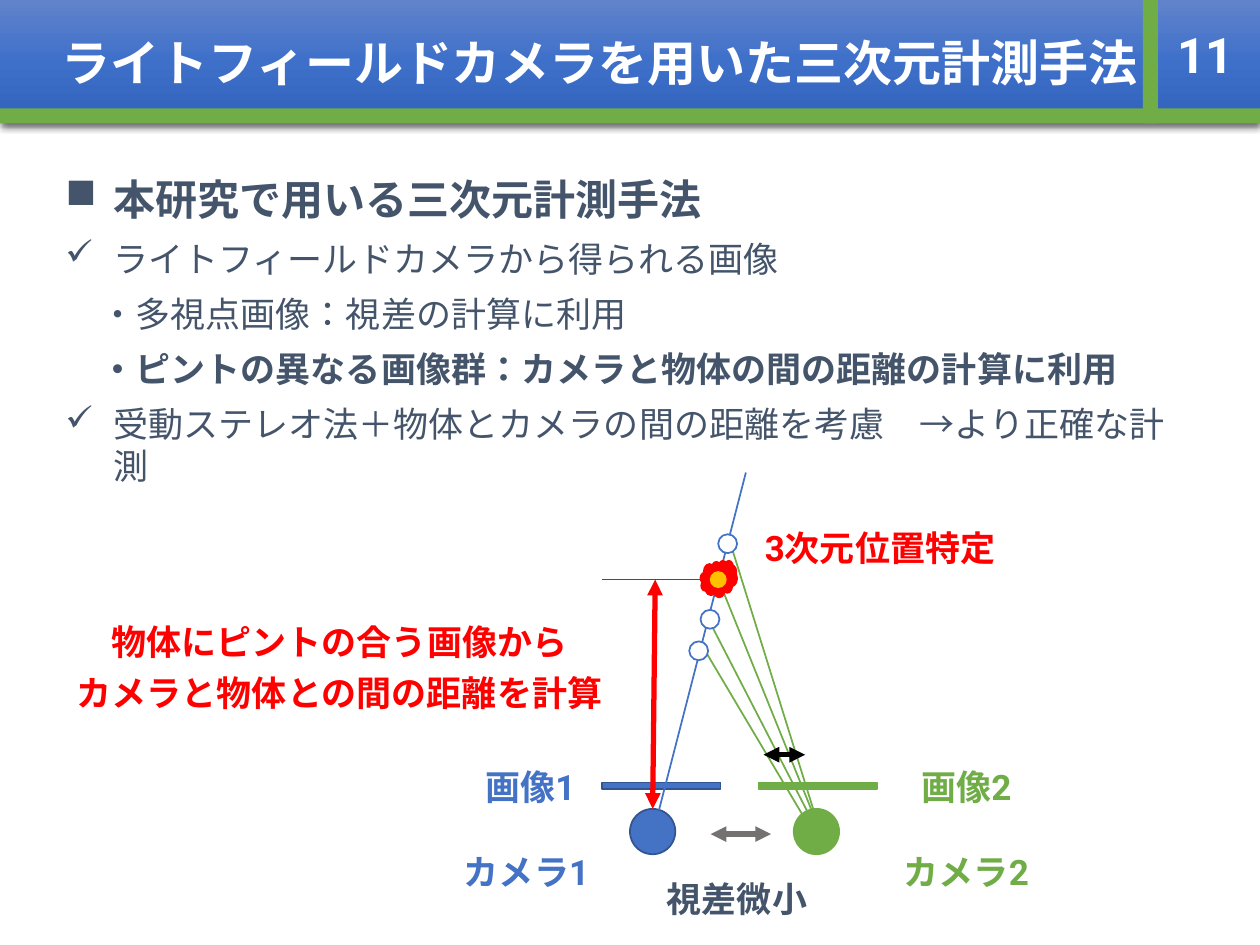
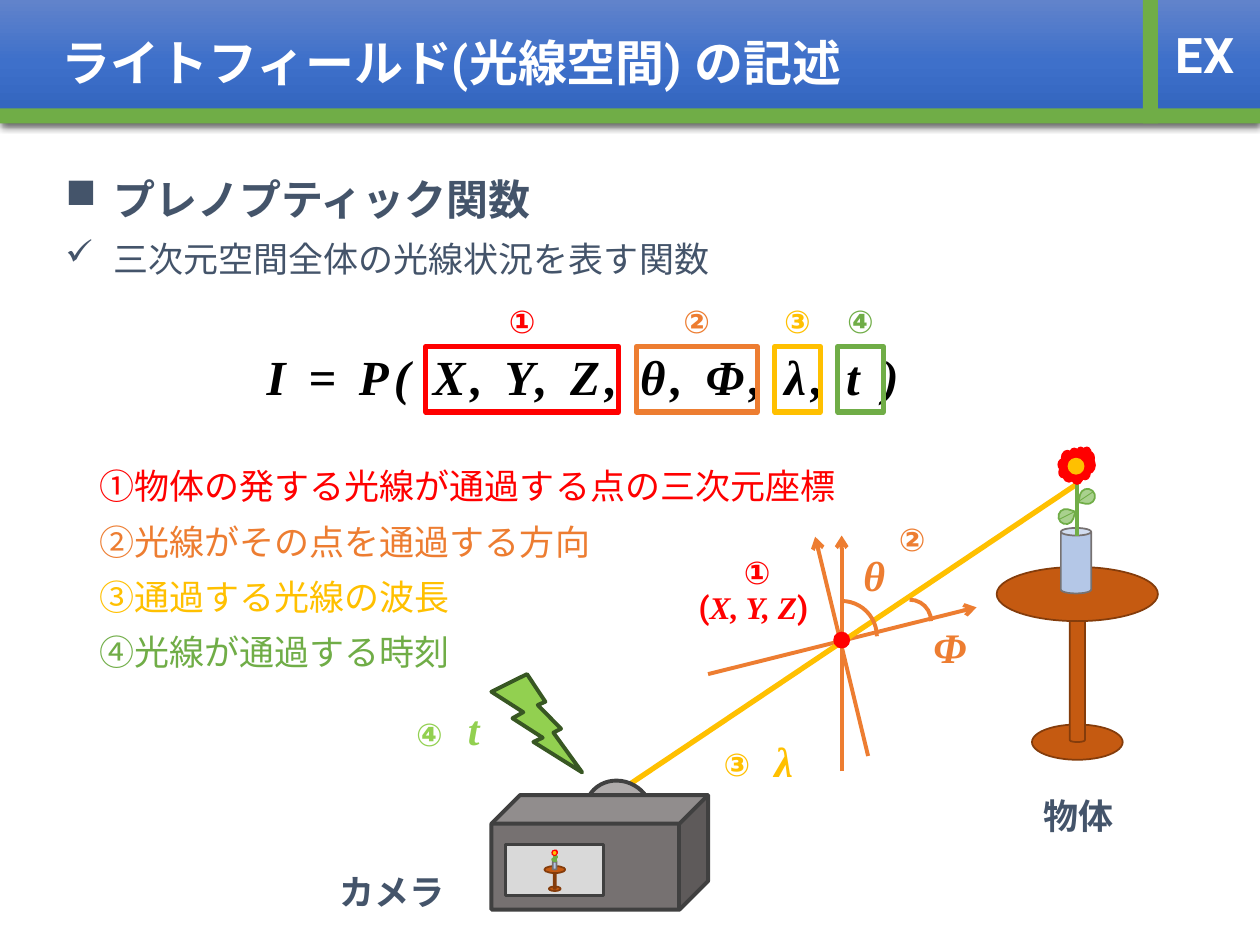
from lxml import etree
from pptx import Presentation
from pptx.dml.color import RGBColor
from pptx.enum import shapes, text
from pptx.oxml import parse_xml
from pptx.oxml.ns import nsdecls, qn
from pptx.util import Inches, Pt

SHAPE = shapes.MSO_SHAPE


class Theme:
    font, math_font = "Roboto", "Times New Roman"
    title, heading, body, mark, symbol = 28, 24, 20, 18, 24
    white, black, ink = "FFFFFF", "000000", "44546A"
    blue, blue_edge, green = "4472C4", "325491", "70AD47"
    red, orange, gold = "FF0000", "ED7D31", "FFC000"
    gray, dark, lens, screen = "767171", "404040", "AFABAB", "D9D9D9"
    wood, wood_edge, vase, leaf = "C55A11", "843C0B", "B4C7E7", "A9D18E"
    flash, flash_edge = "92D050", "385723"
    band = ((0, "6183CB"), (50, "3E70CA"), (100, "3062BB"))


# Paragraph formats
HEADING = dict(size=Theme.heading, bold=True, bullet="■", left=0.38, hang=0.38)
CHECK = dict(spacing=1.0, bullet="✓", left=0.38, hang=0.38)
SUB = dict(spacing=1.0, left=0.28)
SYMBOL = dict(font=Theme.math_font, size=Theme.symbol, italic=True)
MARK = dict(size=Theme.mark)

# Slide 1 content
METHOD_TITLE = "ライトフィールドカメラを用いた三次元計測手法"
METHOD = [
    ("本研究で用いる三次元計測手法", HEADING),
    ("ライトフィールドカメラから得られる画像", CHECK),
    ("・多視点画像：視差の計算に利用", SUB),
    ("・ピントの異なる画像群：カメラと物体の間の距離の計算に利用", dict(SUB, bold=True)),
    ("受動ステレオ法＋物体とカメラの間の距離を考慮　→より正確な計測", CHECK),
]
# text, centre x, top, colour, width
METHOD_LABELS = [
    ("視差微小", 5.85, 6.95, Theme.ink, 2.06),
    ("カメラ1", 4.18, 6.74, Theme.blue, 2.06),
    ("カメラ2", 7.67, 6.74, Theme.green, 2.06),
    ("画像2", 7.67, 6.06, Theme.green, 2.06),
    ("画像1", 4.21, 6.06, Theme.blue, 2.06),
    ("3次元位置特定", 6.985, 4.17, Theme.red, 2.53),
    (("物体にピントの合う画像から", "カメラと物体との間の距離を計算"),
     2.695, 4.91, Theme.red, 4.73),
]
# left of image plane, left of camera, fill, edge
CAMERAS = [(4.78, 5.0, Theme.blue, Theme.blue_edge),
           (6.02, 6.3, Theme.green, Theme.green)]
SIGHT_LINES = [((5.57, 5.12), (6.46, 6.62)), ((5.63, 4.93), (6.49, 6.6)),
               ((5.71, 4.62), (6.51, 6.6)), ((5.79, 4.29), (6.51, 6.6))]
CANDIDATES = [(5.47, 5.09), (5.56, 4.84), (5.7, 4.24)]

# Slide 2 content
FIELD_TITLE = "ライトフィールド(光線空間) の記述"
FIELD = [("プレノプティック関数", HEADING),
         ("三次元空間全体の光線状況を表す関数", CHECK)]
EQUATION = "I = P( X, Y, Z, θ, Φ, λ, t )"
# mark, meaning, colour, left and width of its frame in the equation
TERMS = [
    ("①", "物体の発する光線が通過する点の三次元座標", Theme.red, 3.38, 1.53),
    ("②", "光線がその点を通過する方向", Theme.orange, 5.05, 0.96),
    ("③", "通過する光線の波長", Theme.gold, 6.15, 0.36),
    ("④", "光線が通過する時刻", Theme.green, 6.65, 0.36),
]
POINT = [("(", {}), ("X, Y, Z", dict(font=Theme.math_font, italic=True)), (")", {})]
# text, centre x, top, colour, format
FIELD_LABELS = [
    ([(POINT, {})], 5.98, 4.65, Theme.red, MARK),
    ("θ", 6.94, 4.36, Theme.orange, SYMBOL),
    ("Φ", 7.54, 4.93, Theme.orange, SYMBOL),
    ("カメラ", 3.11, 6.9, Theme.ink, {}),
    ("物体", 8.56, 6.29, Theme.ink, {}),
    ("①", 6.01, 4.37, Theme.red, MARK),
    ("②", 7.24, 4.11, Theme.orange, MARK),
    ("③", 5.85, 5.9, Theme.gold, MARK),
    ("④", 3.41, 5.66, Theme.flash, MARK),
    ("λ", 6.22, 5.83, Theme.gold, SYMBOL),
    ("t", 3.76, 5.58, Theme.flash, SYMBOL),
]
AXES = [((6.68, 6.12), (6.68, 4.25)), ((5.62, 5.35), (7.75, 4.82)),
        ((6.89, 6.0), (6.47, 4.26))]


def rgb(colour):
    return RGBColor.from_string(colour)


def add_run(paragraph, words, font=Theme.font, size=Theme.body, colour=Theme.ink,
            bold=False, italic=False, tracking=0):
    run = paragraph.add_run()
    run.text = words
    style = run.font
    style.name, style.size, style.bold, style.italic = font, Pt(size), bold, italic
    style.color.rgb = rgb(colour)
    props = run._r.get_or_add_rPr()
    props.set("lang", "ja-JP")
    if tracking:
        props.set("spc", str(tracking * 100))
    etree.SubElement(props, qn("a:ea")).set("typeface", font)


def format_paragraph(paragraph, align=None, spacing=0.9, before=7.5,
                     left=0, hang=0, bullet=None):
    paragraph.alignment = align
    paragraph.line_spacing, paragraph.space_before = spacing, Pt(before)
    props = paragraph._p.get_or_add_pPr()
    props.set("marL", str(Inches(left)))
    props.set("indent", str(-Inches(hang)))
    if bullet:
        etree.SubElement(props, qn("a:buChar")).set("char", bullet)


PARAGRAPH_KEYS = ("align", "spacing", "before", "left", "hang", "bullet")


def add_text(slide, box, content, middle=False, **common):
    """Content is a string or a list of (string or runs, format) paragraphs."""
    frame = slide.shapes.add_textbox(*map(Inches, box)).text_frame
    frame.word_wrap = True
    if middle:
        frame.vertical_anchor = text.MSO_ANCHOR.MIDDLE
    lines = [(content, {})] if isinstance(content, str) else content
    for i, (runs, own) in enumerate(lines):
        paragraph = frame.add_paragraph() if i else frame.paragraphs[0]
        style = {**common, **own}
        format_paragraph(paragraph, **{k: style.pop(k) for k in PARAGRAPH_KEYS if k in style})
        for words, run_style in [(runs, {})] if isinstance(runs, str) else runs:
            add_run(paragraph, words, **{**style, **run_style})


def add_label(slide, content, centre, top, colour, width=2.06, **style):
    if isinstance(content, tuple):
        content = [(line, {}) for line in content]
    add_text(slide, (centre - width / 2, top, width, 0.55), content, colour=colour,
             align=text.PP_ALIGN.CENTER, **{"bold": True, **style})


def add_shape(slide, kind, box, fill=None, edge=None, weight=1, turn=0):
    part = slide.shapes.add_shape(kind, *map(Inches, box))
    part.shadow.inherit = False
    part.rotation = turn
    if fill:
        part.fill.solid()
        part.fill.fore_color.rgb = rgb(fill)
    else:
        part.fill.background()
    if edge:
        part.line.color.rgb, part.line.width = rgb(edge), Pt(weight)
    else:
        part.line.fill.background()
    return part


def add_line(slide, start, end, colour, weight=1, head=None, tail=None):
    line = slide.shapes.add_connector(shapes.MSO_CONNECTOR.STRAIGHT,
                                      *map(Inches, (*start, *end)))
    line.line.color.rgb, line.line.width = rgb(colour), Pt(weight)
    for tag, tip in (("a:headEnd", head), ("a:tailEnd", tail)):
        if tip:
            etree.SubElement(line.line._get_or_add_ln(), qn(tag)).set("type", tip)
    etree.SubElement(line._element.spPr, qn("a:effectLst"))
    return line


def add_double_arrow(slide, start, end, colour):
    return add_line(slide, start, end, colour, 3, "triangle", "triangle")


def add_header(slide, title, number):
    # Gradient band with a soft shadow below it
    band = add_shape(slide, SHAPE.RECTANGLE, (0, 0, 10, 0.98), Theme.blue)
    props = band._element.spPr
    stops = "".join(f'<a:gs pos="{pos * 1000}"><a:srgbClr val="{colour}"/></a:gs>'
                    for pos, colour in Theme.band)
    props.replace(props.find(qn("a:solidFill")), parse_xml(
        f'<a:gradFill {nsdecls("a")} rotWithShape="1"><a:gsLst>{stops}</a:gsLst>'
        '<a:lin ang="5400000" scaled="0"/></a:gradFill>'))
    props.find(qn("a:effectLst")).append(parse_xml(
        f'<a:outerShdw {nsdecls("a")} blurRad="57150" dist="19050" dir="5400000" '
        'algn="ctr" rotWithShape="0"><a:srgbClr val="000000">'
        '<a:alpha val="63000"/></a:srgbClr></a:outerShdw>'))
    # Green rules, title and number
    for box in ((0, 0.86, 10, 0.12), (9.07, 0, 0.12, 0.98)):
        add_shape(slide, SHAPE.RECTANGLE, box, Theme.green)
    style = dict(middle=True, size=Theme.title, colour=Theme.white, bold=True,
                 spacing=1.0, before=0)
    add_text(slide, (0.39, 0, 9.61, 0.98), title, **style)
    add_text(slide, (9.13, 0, 0.87, 0.86), number, align=text.PP_ALIGN.CENTER, **style)


def add_flower(slide, x, y, scale=1):
    for kind, inset_x, inset_y, size, colour in (
            (SHAPE.CLOUD, 0, 0, 0.29, Theme.red),
            (SHAPE.OVAL, 0.08, 0.09, 0.12, Theme.gold)):
        add_shape(slide, kind, (x + inset_x * scale, y + inset_y * scale,
                                size * scale, size * scale), colour, colour)


def add_flower_table(slide, x, y, scale=1):
    def at(dx, dy):
        return x + dx * scale, y + dy * scale

    wood, vase = (Theme.wood, Theme.wood_edge), (Theme.vase, Theme.gray)
    # Foot, leg, table top, vase
    for kind, dx, dy, w, h, colours in (
            (SHAPE.OVAL, 0.28, 2.2, 0.72, 0.28, wood),
            (SHAPE.CAN, 0.58, 1.16, 0.12, 1.18, wood),
            (SHAPE.OVAL, 0, 0.95, 1.28, 0.43, wood),
            (SHAPE.CAN, 0.51, 0.64, 0.24, 0.52, vase)):
        add_shape(slide, kind, (*at(dx, dy), w * scale, h * scale), *colours)
    # Stem, leaves with veins, blossom
    add_line(slide, at(0.64, 0.17), at(0.64, 0.7), Theme.green, 2.25)
    for leaf, turn, vein_start, vein_end in (
            ((0.49, 0.49), 17.4, (0.62, 0.51), (0.5, 0.57)),
            ((0.66, 0.33), 192, (0.77, 0.35), (0.65, 0.43))):
        add_shape(slide, SHAPE.TEAR, (*at(*leaf), 0.12 * scale, 0.12 * scale),
                  Theme.leaf, Theme.green, turn=turn)
        add_line(slide, at(*vein_start), at(*vein_end), Theme.green, 0.5)
    add_flower(slide, *at(0.49, 0), scale)


def build_method(slide):
    add_header(slide, METHOD_TITLE, "11")
    add_text(slide, (0.42, 1.37, 9.15, 2.54), METHOD)
    # Image planes and cameras
    cameras = []
    for plane_left, camera_left, fill, edge in CAMERAS:
        add_shape(slide, SHAPE.RECTANGLE, (plane_left, 6.21, 0.94, 0.05), fill, edge)
        cameras.append(add_shape(slide, SHAPE.OVAL, (camera_left, 6.42, 0.36, 0.36), fill, edge))
    # Sight lines and candidate positions
    add_line(slide, (5.92, 3.75), (5.23, 6.43), Theme.blue)
    for start, end in SIGHT_LINES:
        add_line(slide, start, end, Theme.green)
    for spot in CANDIDATES:
        add_shape(slide, SHAPE.OVAL, (*spot, 0.15, 0.15), Theme.white, Theme.blue)
    # Parallax and distance
    add_double_arrow(slide, (5.64, 6.62), (6.12, 6.62), Theme.gray)
    add_double_arrow(slide, (6.06, 5.99), (6.39, 5.99), Theme.black)
    add_line(slide, (5.7, 4.6), (4.78, 4.6), Theme.red, 0.5)
    add_flower(slide, 5.56, 4.45)
    distance = add_double_arrow(slide, (5.2, 4.6), (5.18, 6.42), Theme.red)
    distance.end_connect(cameras[0], 0)
    for label in METHOD_LABELS:
        add_label(slide, *label)


def build_field(slide):
    add_header(slide, FIELD_TITLE, "EX")
    add_text(slide, (0.42, 1.37, 9.15, 2.69), FIELD)
    # Equation with framed terms, and their meanings
    add_label(slide, EQUATION, 4.63, 2.75, Theme.black, 7.24, size=Theme.title,
              font=Theme.math_font, italic=True, tracking=3)
    for mark, _, colour, left, width in TERMS:
        add_shape(slide, SHAPE.RECTANGLE, (left, 2.75, width, 0.52), None, colour, 3)
        add_label(slide, mark, left + width / 2, 2.35, colour, 0.73,
                  size=Theme.mark, spacing=1.0, before=0)
    add_text(slide, (0.69, 3.64, 9.27, 2.02),
             [(mark + meaning, dict(colour=colour)) for mark, meaning, colour, *_ in TERMS],
             spacing=1.0)
    # Axes, ray and object
    for start, end in AXES:
        add_line(slide, start, end, Theme.orange, 2.25, tail="arrow")
    add_line(slide, (8.55, 3.84), (4.87, 6.31), Theme.gold, 3)
    add_flower_table(slide, 7.91, 3.55)
    # Flash and camera with the object on its screen
    add_shape(slide, SHAPE.LIGHTNING_BOLT, (3.9, 5.35, 0.72, 0.78),
              Theme.flash, Theme.flash_edge, 2.25)
    add_shape(slide, SHAPE.OVAL, (4.66, 6.18, 0.5, 0.54), Theme.lens, Theme.dark, 2.25, 299.2)
    add_shape(slide, SHAPE.CUBE, (3.9, 6.31, 1.72, 0.91), Theme.gray, Theme.dark, 2.25)
    add_shape(slide, SHAPE.RECTANGLE, (4.01, 6.7, 0.78, 0.41), Theme.screen, Theme.dark, 1.5)
    add_flower_table(slide, 4.32, 6.75, 0.13)
    # Ray point, angles and labels
    add_shape(slide, SHAPE.OVAL, (6.62, 5.02, 0.12, 0.12), Theme.red, Theme.red)
    for left, top, size in ((6.4, 4.77, 0.56), (7.05, 4.76, 0.34)):
        add_shape(slide, SHAPE.ARC, (left, top, size, size), None, Theme.orange, 2.25)
    for content, centre, top, colour, style in FIELD_LABELS:
        add_label(slide, content, centre, top, colour, **style)


def main():
    deck = Presentation()
    deck.slide_width, deck.slide_height = Inches(10), Inches(7.5)
    for build in (build_method, build_field):
        build(deck.slides.add_slide(deck.slide_layouts[6]))
    deck.save("out.pptx")


if __name__ == "__main__":
    main()
